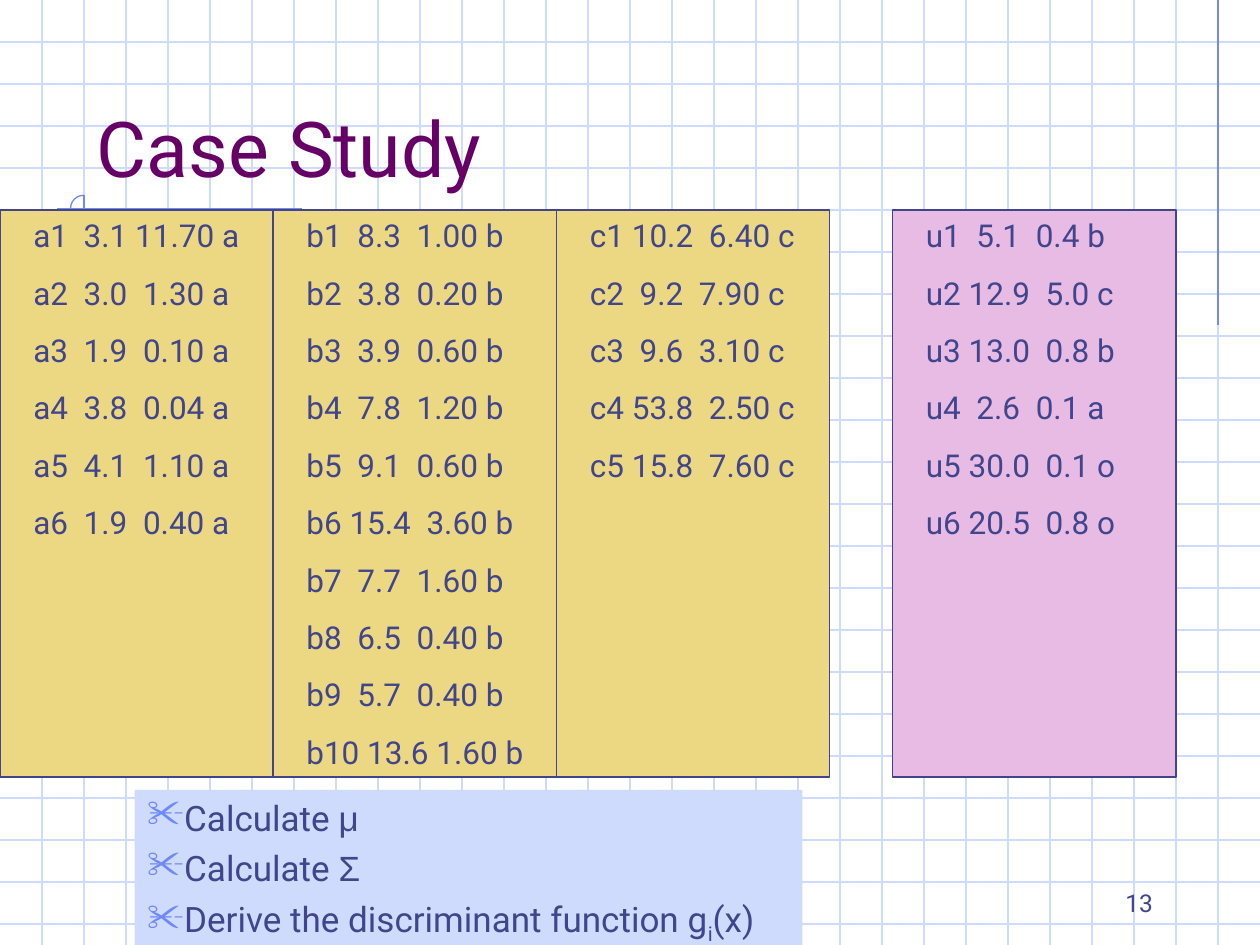
"""Build the Case Study slide with four sample panels and a task list."""
from dataclasses import dataclass

from lxml import etree
from pptx import Presentation
from pptx.dml.color import RGBColor
from pptx.enum.shapes import MSO_CONNECTOR, MSO_SHAPE
from pptx.enum.text import MSO_ANCHOR, MSO_AUTO_SIZE, PP_ALIGN
from pptx.oxml.ns import qn
from pptx.util import Pt

STRAIGHT = MSO_CONNECTOR.STRAIGHT
RECTANGLE = MSO_SHAPE.RECTANGLE
ARC = MSO_SHAPE.ARC
TOP = MSO_ANCHOR.TOP
BOTTOM = MSO_ANCHOR.BOTTOM
LEFT = PP_ALIGN.LEFT
RIGHT = PP_ALIGN.RIGHT
NO_FIT = MSO_AUTO_SIZE.NONE

PALE_BLUE = RGBColor(0xCF, 0xDB, 0xFD)
BLUE = RGBColor(0x6F, 0x89, 0xF7)
NAVY = RGBColor(0x40, 0x45, 0x8C)
PURPLE = RGBColor(0x66, 0x00, 0x66)
GOLD = RGBColor(0xEC, 0xD8, 0x82)
PINK = RGBColor(0xE7, 0xBB, 0xE4)

BODY_FONT = "Roboto"
SYMBOL_FONT = "Arial"
PAGE_WIDTH, PAGE_HEIGHT, GRID_STEP = 720, 540, 24
PANEL_TOP, PANEL_HEIGHT, TEXT_INDENT = 120, 324, 12
LINE_WIDTH = 0.75


@dataclass(frozen=True)
class Panel:
    left: float
    width: float
    fill: RGBColor
    text_width: float
    text_height: float
    samples: tuple[str, ...]


@dataclass(frozen=True)
class Span:
    text: str
    font: str = BODY_FONT
    subscript: bool = False


PANELS = (
    Panel(510, 162, PINK, 144, 226, (
        "u1  5.1  0.4 b", "u2 12.9  5.0 c", "u3 13.0  0.8 b",
        "u4  2.6  0.1 a", "u5 30.0  0.1 o", "u6 20.5  0.8 o")),
    Panel(318, 156, GOLD, 150, 193, (
        "c1 10.2  6.40 c", "c2  9.2  7.90 c", "c3  9.6  3.10 c",
        "c4 53.8  2.50 c", "c5 15.8  7.60 c")),
    Panel(156, 162, GOLD, 174, 358, (
        "b1  8.3  1.00 b", "b2  3.8  0.20 b", "b3  3.9  0.60 b",
        "b4  7.8  1.20 b", "b5  9.1  0.60 b", "b6 15.4  3.60 b",
        "b7  7.7  1.60 b", "b8  6.5  0.40 b", "b9  5.7  0.40 b",
        "b10 13.6 1.60 b")),
    Panel(0, 156, GOLD, 174, 226, (
        "a1  3.1 11.70 a", "a2  3.0  1.30 a", "a3  1.9  0.10 a",
        "a4  3.8  0.04 a", "a5  4.1  1.10 a", "a6  1.9  0.40 a")),
)
TASKS = (
    (Span("Calculate "), Span("μ", SYMBOL_FONT)),
    (Span("Calculate "), Span("Σ", SYMBOL_FONT)),
    (Span("Derive the discriminant function g"), Span("i", subscript=True),
     Span("(x)")),
)


def add_line(page, x1: float, y1: float, x2: float, y2: float,
             color: RGBColor) -> None:
    """Draw a thin line without a shadow."""
    line = page.shapes.add_connector(STRAIGHT, Pt(x1), Pt(y1), Pt(x2), Pt(y2))
    line.line.color.rgb = color
    line.line.width = Pt(LINE_WIDTH)
    etree.SubElement(line._element.spPr, qn("a:effectLst"))


def add_grid(page) -> None:
    """Rule the page into squares."""
    for y in range(GRID_STEP, PAGE_HEIGHT, GRID_STEP):
        add_line(page, 0, y, PAGE_WIDTH, y, PALE_BLUE)
    for x in range(GRID_STEP, PAGE_WIDTH, GRID_STEP):
        add_line(page, x, 0, x, PAGE_HEIGHT, PALE_BLUE)


def add_ornaments(page) -> None:
    """Draw the accent lines and the small open ring by the title."""
    add_line(page, 696, 0, 696, 186, BLUE)
    add_line(page, 172.8, 119.2, 32.4, 119.2, BLUE)
    add_line(page, 48, 111.6, 48, 294.5, BLUE)
    ring = page.shapes.add_shape(ARC, Pt(40.3), Pt(111.6), Pt(15), Pt(15))
    ring.adjustments[0] = 0
    ring.adjustments[1] = 162
    ring.shadow.inherit = False
    ring.fill.background()
    ring.line.color.rgb = BLUE
    ring.line.width = Pt(LINE_WIDTH)


def style_paragraph(para, size: float, color: RGBColor, align=LEFT) -> None:
    """Set the font and alignment of a whole paragraph."""
    para.alignment = align
    para.font.name = BODY_FONT
    para.font.size = Pt(size)
    para.font.color.rgb = color


def add_rectangle(page, left: float, top: float, width: float, height: float,
                  fill: RGBColor):
    """Add a filled rectangle without a shadow or outline."""
    box = page.shapes.add_shape(RECTANGLE, Pt(left), Pt(top), Pt(width), Pt(height))
    box.shadow.inherit = False
    box.fill.solid()
    box.fill.fore_color.rgb = fill
    box.line.fill.background()
    return box


def add_panel(page, panel: Panel) -> None:
    """Draw the outlined background of one panel."""
    box = add_rectangle(page, panel.left, PANEL_TOP, panel.width, PANEL_HEIGHT,
                        panel.fill)
    box.line.color.rgb = NAVY
    box.line.width = Pt(LINE_WIDTH)


def add_samples(page, panel: Panel) -> None:
    """Write the samples of one panel."""
    box = page.shapes.add_textbox(Pt(panel.left + TEXT_INDENT), Pt(PANEL_TOP),
                                  Pt(panel.text_width), Pt(panel.text_height))
    frame = box.text_frame
    frame.word_wrap = True
    for index, sample in enumerate(panel.samples):
        para = frame.add_paragraph() if index else frame.paragraphs[0]
        para.text = sample
        para.space_before = Pt(11.2 if index else 0)
        style_paragraph(para, 18, NAVY)


def add_bullet(para) -> None:
    """Give a paragraph a coloured scissors bullet."""
    properties = para._p.get_or_add_pPr()
    color = etree.SubElement(properties, qn("a:buClr"))
    etree.SubElement(color, qn("a:srgbClr"), val=str(BLUE))
    etree.SubElement(properties, qn("a:buSzPct"), val="110000")
    etree.SubElement(properties, qn("a:buChar"), char="✂")


def add_tasks(page) -> None:
    """Write the bulleted task list."""
    frame = add_rectangle(page, 77, 451.4, 381.6, 92.9, PALE_BLUE).text_frame
    frame.word_wrap = True
    frame.vertical_anchor = TOP
    for index, spans in enumerate(TASKS):
        para = frame.add_paragraph() if index else frame.paragraphs[0]
        add_bullet(para)
        para.space_before = Pt(5 if index else 0)
        style_paragraph(para, 20, NAVY)
        for span in spans:
            run = para.add_run()
            run.text = span.text
            run.font.name = span.font
            run.font.color.rgb = NAVY
            if span.subscript:
                run.font._element.set("baseline", "-25000")


def add_title(page) -> None:
    """Place the title above the grid."""
    title = page.shapes.title
    title.left, title.top, title.width, title.height = Pt(48), Pt(24), Pt(612), Pt(90)
    title.text_frame.text = "Case Study"
    title.text_frame.auto_size = NO_FIT
    title.text_frame.vertical_anchor = BOTTOM
    style_paragraph(title.text_frame.paragraphs[0], 44, PURPLE)
    page.shapes[-1].element.addnext(title.element)


def add_page_number(page) -> None:
    """Write the page number."""
    frame = page.shapes.add_textbox(Pt(516), Pt(492), Pt(150), Pt(36)).text_frame
    frame.word_wrap = True
    frame.vertical_anchor = BOTTOM
    frame.text = "13"
    style_paragraph(frame.paragraphs[0], 14, NAVY, RIGHT)


def main() -> None:
    """Build and save the deck."""
    deck = Presentation()
    deck.slide_width, deck.slide_height = Pt(PAGE_WIDTH), Pt(PAGE_HEIGHT)
    page = deck.slides.add_slide(deck.slide_layouts[5])
    add_grid(page)
    add_ornaments(page)
    add_page_number(page)
    for panel in PANELS:
        add_panel(page, panel)
    add_title(page)
    for panel in PANELS:
        add_samples(page, panel)
    add_tasks(page)
    deck.save("out.pptx")


if __name__ == "__main__":
    main()
